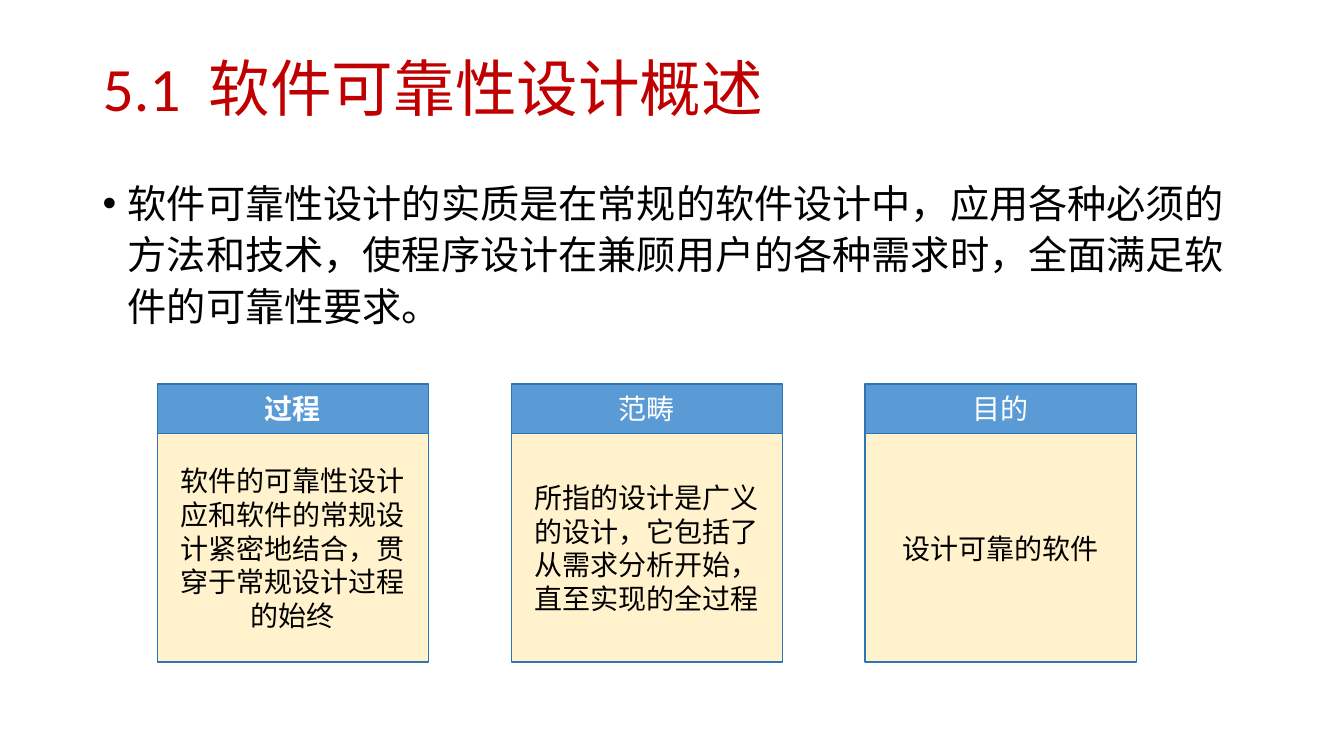
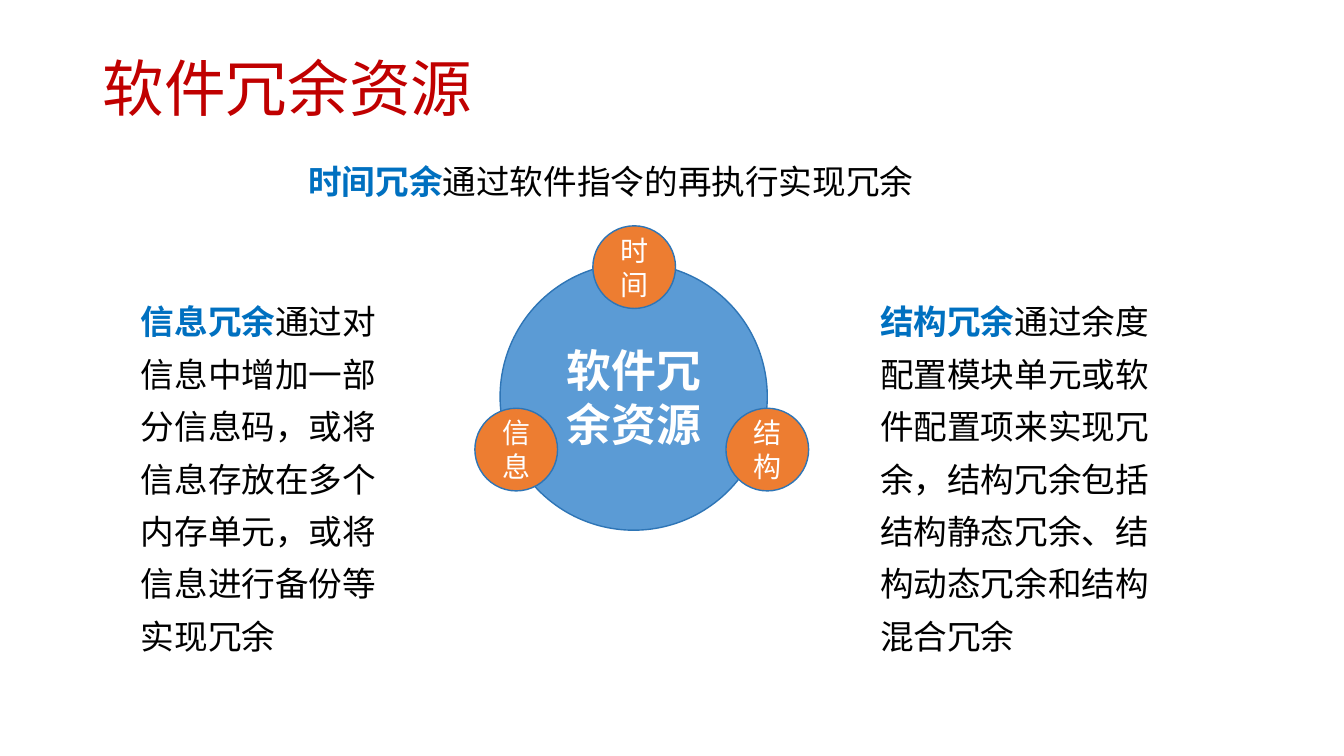
from lxml import etree
from pptx import Presentation
from pptx.dml.color import RGBColor
from pptx.enum.shapes import MSO_SHAPE
from pptx.enum.text import MSO_ANCHOR, PP_ALIGN
from pptx.oxml.ns import qn
from pptx.util import Pt

PX = 9144  # 100 px to the inch
FONT = "Calibri"
RED = RGBColor(0xC0, 0x00, 0x00)
BLACK = RGBColor(0x00, 0x00, 0x00)
WHITE = RGBColor(0xFF, 0xFF, 0xFF)
BLUE = RGBColor(0x5B, 0x9B, 0xD5)
EDGE_BLUE = RGBColor(0x2E, 0x75, 0xB6)
TERM_BLUE = RGBColor(0x00, 0x70, 0xC0)
CREAM = RGBColor(0xFF, 0xF2, 0xCC)
ORANGE = RGBColor(0xED, 0x7D, 0x31)
RECT, OVAL = MSO_SHAPE.RECTANGLE, MSO_SHAPE.OVAL
CENTER, MIDDLE = PP_ALIGN.CENTER, MSO_ANCHOR.MIDDLE


def add_text(slide, at, runs, size, spacing=1.0):
    """Add a wrapping text box; runs are (text, colour, bold)."""
    box = slide.shapes.add_textbox(*(v * PX for v in at))
    box.text_frame.word_wrap = True
    paragraph = box.text_frame.paragraphs[0]
    paragraph.line_spacing = spacing
    for text, color, bold in runs:
        run = paragraph.add_run()
        run.text = text
        run.font.name, run.font.size = FONT, Pt(size)
        run.font.color.rgb, run.font.bold = color, bold
    return box.text_frame


def add_panel(slide, kind, at, fill, text, size, color=WHITE, bold=False):
    """Add an outlined shape with centred text."""
    panel = slide.shapes.add_shape(kind, *(v * PX for v in at))
    panel.shadow.inherit = False
    panel.fill.solid()
    panel.fill.fore_color.rgb = fill
    panel.line.color.rgb = EDGE_BLUE
    panel.line.width = Pt(1)
    panel.text_frame.text = text
    panel.text_frame.vertical_anchor = MIDDLE
    paragraph = panel.text_frame.paragraphs[0]
    paragraph.alignment = CENTER
    font = paragraph.runs[0].font
    font.name, font.size, font.bold = FONT, Pt(size), bold
    font.color.rgb = color


prs = Presentation()
prs.slide_width, prs.slide_height = 1333 * PX, 750 * PX

# Slides with their titles
slides, titles = [], []
for title_parts in (["5.1", " ", "软件可靠性设计概述"], ["软件冗余资源"]):
    slide = prs.slides.add_slide(prs.slide_layouts[6])
    title = add_text(slide, (92, 40, 1150, 102),
                     [(part, RED, False) for part in title_parts], 44, 0.9)
    title.vertical_anchor = MIDDLE
    slides.append(slide)
    titles.append(title)
overview, redundancy = slides

# Widen the gap after the section number
section_gap = titles[0].paragraphs[0].runs[1]
section_gap.font._element.set("spc", "1000")

# Overview: bulleted statement
statement = add_text(
    overview, (92, 168, 1150, 182),
    [("软件可靠性设计的实质是在常规的软件设计中，应用各种必须的方法和技术，"
      "使程序设计在兼顾用户的各种需求时，全面满足软件的可靠性要求。", BLACK, False)],
    28, 1.1)
bullet_props = statement.paragraphs[0]._p.get_or_add_pPr()
bullet_props.set("marL", str(25 * PX))
bullet_props.set("indent", str(-25 * PX))
etree.SubElement(bullet_props, qn("a:buFont")).set("typeface", "Arial")
etree.SubElement(bullet_props, qn("a:buChar")).set("char", "•")

# Overview: three cards
CARD_LEFT, CARD_STEP, CARD_WIDTH = 156, 351, 269
CARD_TOP, HEAD_HEIGHT, BODY_HEIGHT = 381, 49, 227
cards = [
    ("过程", "软件的可靠性设计应和软件的常规设计紧密地结合，贯穿于常规设计过程的始终", True),
    ("范畴", "所指的设计是广义的设计，它包括了从需求分析开始，直至实现的全过程", False),
    ("目的", "设计可靠的软件", False),
]
for i, (heading, detail, bold) in enumerate(cards):
    left = CARD_LEFT + i * CARD_STEP
    add_panel(overview, RECT, (left, CARD_TOP, CARD_WIDTH, HEAD_HEIGHT),
              BLUE, heading, 20, bold=bold)
    add_panel(overview, RECT, (left, CARD_TOP + HEAD_HEIGHT, CARD_WIDTH, BODY_HEIGHT),
              CREAM, detail, 20, BLACK)

# Redundancy: hub and its satellites
add_panel(redundancy, OVAL, (496, 261, 265, 265), BLUE, "软件冗余资源", 32, bold=True)
SATELLITE = 82
for name, left, top in (("时间", 588, 224), ("结构", 720, 405), ("信息", 471, 405)):
    add_panel(redundancy, OVAL, (left, top, SATELLITE, SATELLITE), ORANGE, name, 20)

# Redundancy: explanations
explanations = [
    ((296, 155, 667, 50), 1.0, "时间冗余", "通过软件指令的再执行实现冗余"),
    ((130, 282, 256, 377), 1.3, "信息冗余",
     "通过对信息中增加一部分信息码，或将信息存放在多个内存单元，或将信息进行备份等实现冗余"),
    ((863, 282, 288, 377), 1.3, "结构冗余",
     "通过余度配置模块单元或软件配置项来实现冗余，"
     "结构冗余包括结构静态冗余、结构动态冗余和结构混合冗余"),
]
for at, spacing, term, meaning in explanations:
    add_text(redundancy, at, [(term, TERM_BLUE, True), (meaning, BLACK, False)],
             24, spacing)

prs.save("out.pptx")
